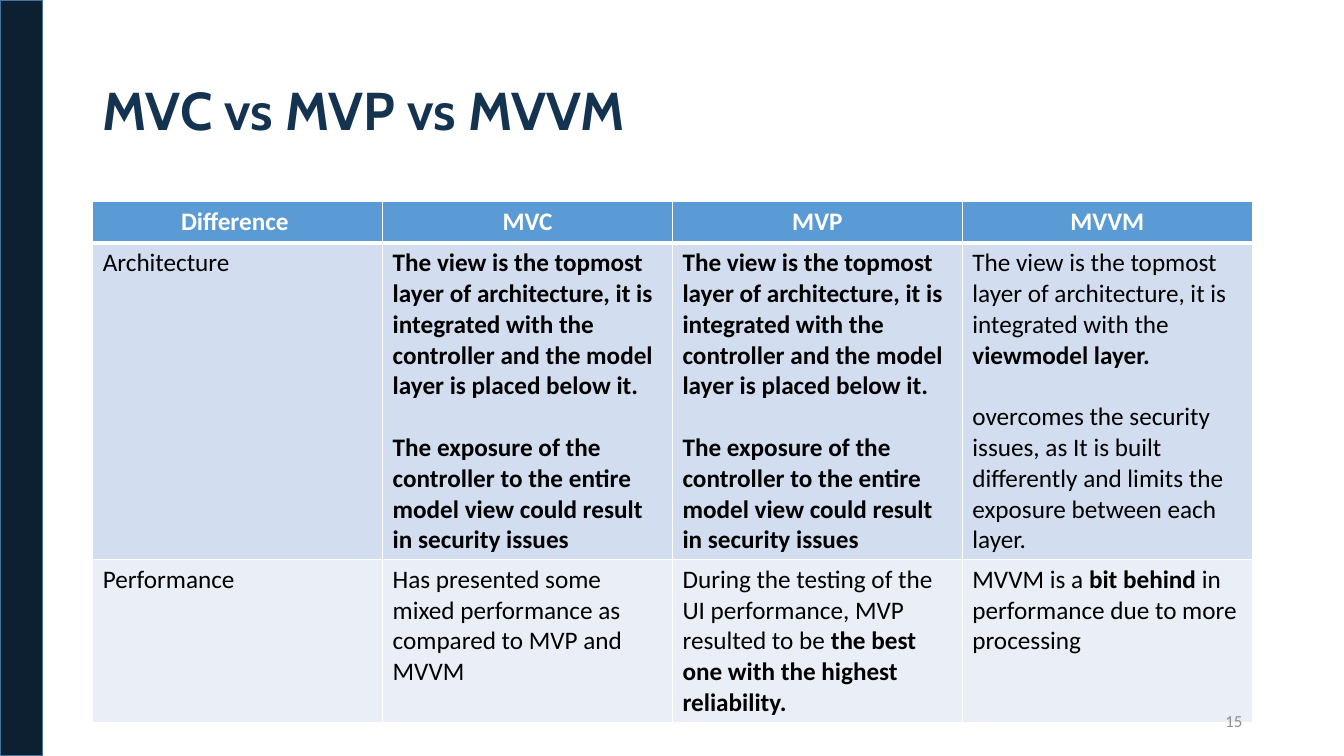
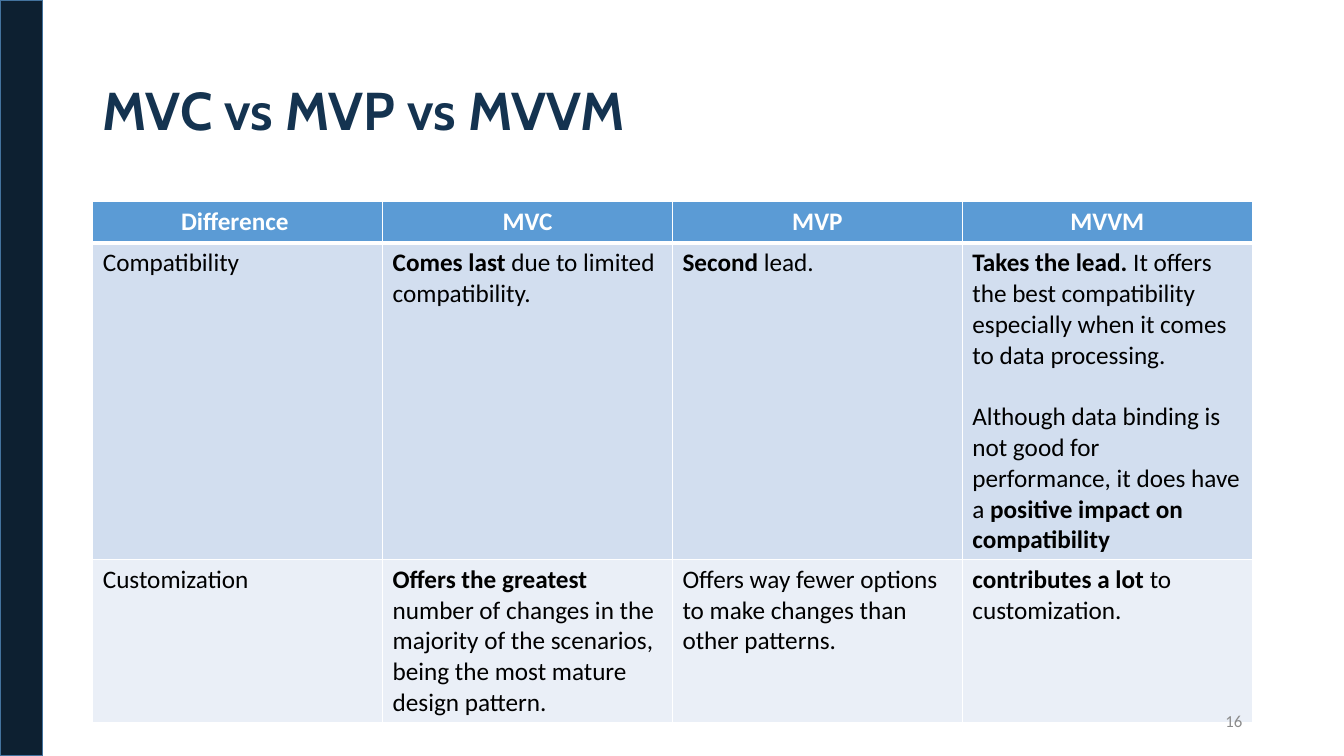
"""Build two slides that compare MVC, MVP and MVVM in tables."""
from dataclasses import dataclass

from lxml import etree
from pptx import Presentation
from pptx import util as u
from pptx.dml.color import RGBColor
from pptx.enum import shapes, text
from pptx.oxml import ns


@dataclass(frozen=True)
class Theme:
    """Colours, fonts and type sizes of the deck."""
    band: str = "0D2031"
    band_line: str = "43739E"
    title: str = "143350"
    header: str = "5B9BD5"
    rows: tuple = ("D2DEEF", "EAEFF7")
    white: str = "FFFFFF"
    ink: str = "000000"
    muted: str = "8C8C8C"
    title_font: str = "Cabin"
    body_font: str = "Calibri"
    title_size: int = 38
    body_size: int = 18
    number_size: int = 12
    gap: int = 22


T = Theme()
LEFT, WIDTH = 0.92, 11.5
ROW_HEIGHTS = (0.41, 3.14, 1.62)
FIRST_NUMBER = 15
TITLE = "MVC vs MVP vs MVVM"
HEADER = ("Difference ", "MVC", "MVP", "MVVM")

TITLE_FORMAT = dict(name=T.title_font, size=u.Pt(T.title_size), bold=True)
BODY_FORMAT = dict(name=T.body_font, size=u.Pt(T.body_size))
NUMBER_FORMAT = dict(name=T.body_font, size=u.Pt(T.number_size))

EXPOSED = (
    "**The view is the topmost layer of architecture, it is integrated with "
    "the controller and the model layer is placed below it.**\n"
    "**The exposure of the controller to the entire model view could result "
    "in security issues**"
)

SLIDES = (
    (
        (
            "Architecture",
            EXPOSED,
            EXPOSED,
            "The view is the topmost layer of architecture, it is integrated "
            "with the **viewmodel layer.**\n"
            "overcomes the security issues, as It is built differently and "
            "limits the exposure between each layer.",
        ),
        (
            "Performance",
            "Has presented some mixed performance as compared to MVP and MVVM",
            "During the testing of the UI performance, MVP resulted to be "
            "**the best one with the highest reliability.**",
            "MVVM is a **bit behind **in performance due to more processing",
        ),
    ),
    (
        (
            "Compatibility",
            "**Comes last** due to limited compatibility.",
            "**Second** lead.",
            "**Takes the lead.** It offers the best compatibility especially "
            "when it comes to data processing.\n"
            "Although data binding is not good for performance, it does have "
            "a **positive impact on compatibility**",
        ),
        (
            "Customization",
            "**Offers the greatest **number of changes in the majority of the "
            "scenarios, being the most mature design pattern.",
            "Offers way fewer options to make changes than other patterns.",
            "**contributes a lot **to customization.",
        ),
    ),
)


def rgb(value):
    """Return the colour for a hex string."""
    return RGBColor.from_string(value)


def apply(target, values):
    """Set each attribute in values on the target."""
    for name, value in values.items():
        setattr(target, name, value)


def add_run(p, words, color, values):
    """Add a formatted run to a paragraph."""
    r = p.add_run()
    r.text = words
    apply(r.font, values)
    r.font.color.rgb = rgb(color)


def add_band(s, height):
    """Draw the dark band on the left edge."""
    sp = s.shapes.add_shape(shapes.MSO_SHAPE.RECTANGLE, 0, 0, u.Inches(0.42), height)
    sp.shadow.inherit = False
    sp.fill.solid()
    sp.fill.fore_color.rgb = rgb(T.band)
    sp.line.color.rgb = rgb(T.band_line)
    sp.line.width = u.Pt(1)


def add_text(s, box, words, color, values, **layout):
    """Add a one-paragraph text box, centred vertically."""
    tf = s.shapes.add_textbox(*map(u.Inches, box)).text_frame
    apply(tf, dict(word_wrap=True, vertical_anchor=text.MSO_ANCHOR.MIDDLE))
    p = tf.paragraphs[0]
    apply(p, layout)
    add_run(p, words, color, values)


def set_borders(cell, **widths):
    """Give the cell white borders, with widths in points by side."""
    tc_pr = cell._tc.get_or_add_tcPr()
    for side in "LRTB":
        ln = etree.SubElement(tc_pr, ns.qn(f"a:ln{side}"), w=str(u.Pt(widths.get(side, 1))))
        fill = etree.SubElement(ln, ns.qn("a:solidFill"))
        etree.SubElement(fill, ns.qn("a:srgbClr"), val=T.white)


def fill_cell(cell, words, fill, header):
    """Write a cell, where ** switches bold and a line break starts a paragraph."""
    cell.fill.solid()
    cell.fill.fore_color.rgb = rgb(fill)
    tf = cell.text_frame
    for i, line in enumerate(words.split("\n")):
        p = tf.add_paragraph() if i else tf.paragraphs[0]
        p.alignment = text.PP_ALIGN.CENTER if header else text.PP_ALIGN.LEFT
        if i:
            p.space_before = u.Pt(T.gap)
        for j, part in enumerate(line.split("**")):
            if part:
                bold = header or j % 2 == 1
                add_run(p, part, T.white if header else T.ink, dict(BODY_FORMAT, bold=bold))


def add_comparison(s, body):
    """Add the comparison table with its header row."""
    rows = (HEADER, *body)
    box = (LEFT, 2, WIDTH, sum(ROW_HEIGHTS))
    table = s.shapes.add_table(len(rows), len(HEADER), *map(u.Inches, box)).table
    for row, height in zip(table.rows, ROW_HEIGHTS):
        row.height = u.Inches(height)
    edges = ({"B": 3}, {"T": 3}, {})
    for i, (row, fill) in enumerate(zip(rows, (T.header, *T.rows))):
        for j, words in enumerate(row):
            cell = table.cell(i, j)
            set_borders(cell, **edges[i])
            fill_cell(cell, words, fill, header=i == 0)


def main():
    """Build and save the deck."""
    prs = Presentation()
    apply(prs, dict(slide_width=u.Inches(13.33), slide_height=u.Inches(7.5)))
    for number, body in enumerate(SLIDES, FIRST_NUMBER):
        s = prs.slides.add_slide(prs.slide_layouts[6])
        add_band(s, prs.slide_height)
        add_text(s, (LEFT, 0.4, WIDTH, 1.45), TITLE, T.title, TITLE_FORMAT, line_spacing=0.9)
        add_comparison(s, body)
        add_text(s, (9.42, 6.95, 3, 0.4), str(number), T.muted, NUMBER_FORMAT,
                 alignment=text.PP_ALIGN.RIGHT)
    prs.save("out.pptx")


if __name__ == "__main__":
    main()
